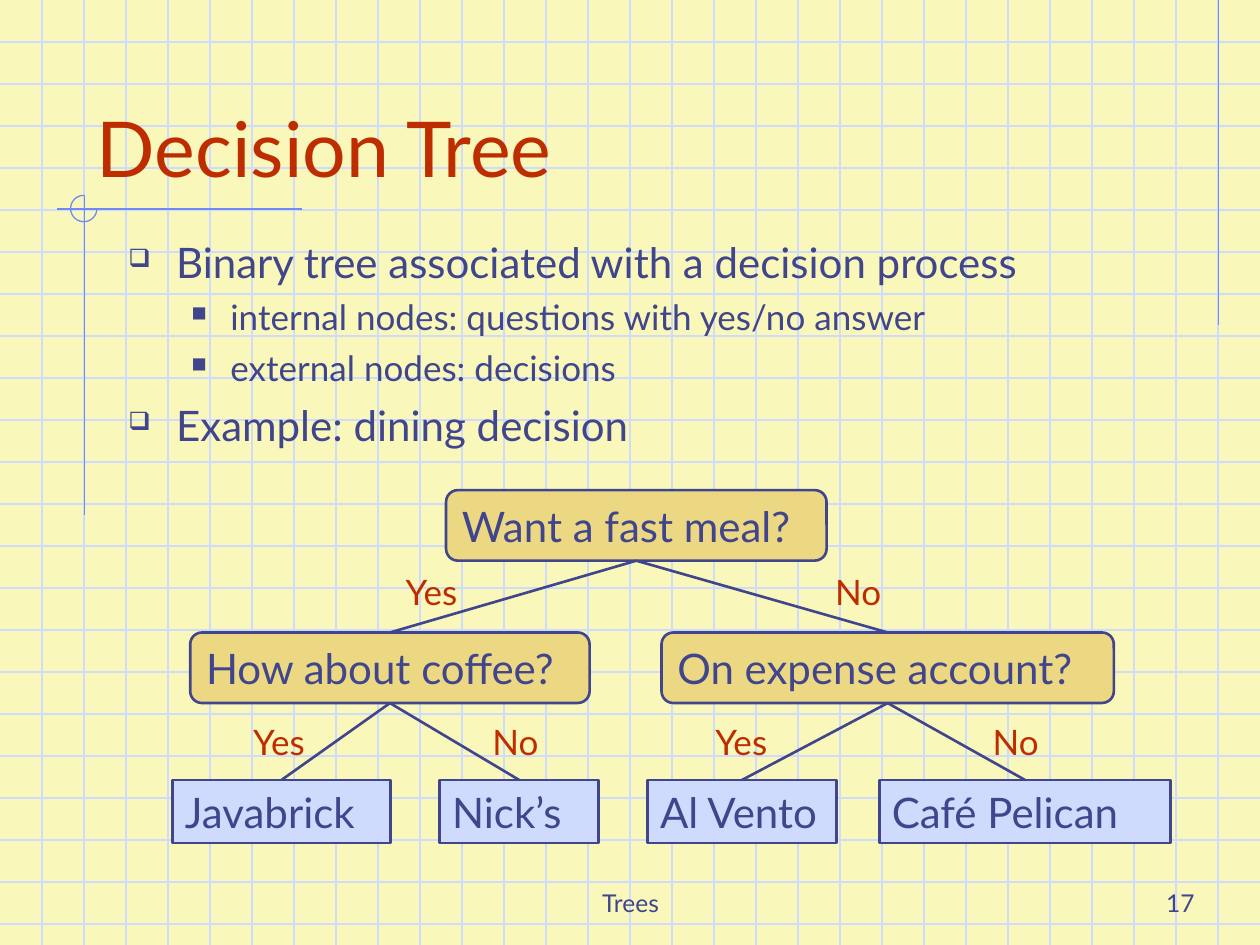
from lxml.etree import SubElement
from pptx import Presentation
from pptx.dml.color import RGBColor
from pptx.enum.shapes import MSO_CONNECTOR as Connector, MSO_SHAPE as Shape
from pptx.enum.text import MSO_ANCHOR as Anchor, PP_ALIGN as Align
from pptx.oxml.ns import qn
from pptx.util import Inches, Pt


class Theme:
    font = "Lato"
    paper, grid, margin = "F9F8BA", "CFDBFD", "6F89F7"
    ink, accent = "40458C", "BE2D00"
    question, decision = "ECD882", "CFDBFD"
    title_size, text_size, detail_size, footer_size = 44, 24, 20, 14
    thin, thick = 0.75, 1.5


# Content
TITLE = "Decision Tree"
FOOTER, PAGE = "Trees", "17"
BULLETS = [
    (0, "Binary tree associated with a decision process"),
    (1, "internal nodes: questions with yes/no answer"),
    (1, "external nodes: decisions"),
    (0, "Example: dining decision"),
]
# Tree rows: (top, height, [(text, left, width), ...])
TREE = [
    (3.89, 0.56, [("Want a fast meal?", 3.54, 3.02)]),
    (5.02, 0.56, [("How about coffee?", 1.51, 3.17),
                  ("On expense account?", 5.25, 3.59)]),
    (6.19, 0.50, [("Javabrick", 1.37, 1.73), ("Nick’s", 3.49, 1.26),
                  ("Al Vento", 5.14, 1.50), ("Café Pelican", 6.98, 2.31)]),
]
# Answers on the branches below each question row: (top, lefts)
BRANCHES = [(4.48, [3.12, 6.53]), (5.67, [1.91, 3.81, 5.58, 7.78])]
ANSWERS = [("Yes", 0.65), ("No", 0.58)]

# Bullet level: (character, text indent, hanging, space before, size)
LEVELS = [("❑", 0.38, 0.38, 6, Theme.text_size),
          ("■", 0.81, 0.31, 5, Theme.detail_size)]
WIDTH, HEIGHT, GRID_STEP = 10, 7.5, 1 / 3
MARGIN_LINES = [((9.67, 0), (9.67, 2.58)), ((2.4, 1.66), (0.45, 1.66)),
                ((0.67, 1.55), (0.67, 4.09))]

presentation = Presentation()
presentation.slide_width, presentation.slide_height = Inches(WIDTH), Inches(HEIGHT)
slide = presentation.slides.add_slide(presentation.slide_layouts[6])
slide.background.fill.solid()
slide.background.fill.fore_color.rgb = RGBColor.from_string(Theme.paper)


def write(paragraph, text, size=Theme.text_size, color=Theme.ink, align=Align.LEFT):
    paragraph.alignment = align
    run = paragraph.add_run()
    run.text = text
    run.font.name, run.font.size = Theme.font, Pt(size)
    run.font.color.rgb = RGBColor.from_string(color)


def add_box(left, top, width, height, anchor=Anchor.TOP, wrap=True):
    box = slide.shapes.add_textbox(*map(Inches, (left, top, width, height)))
    box.text_frame.word_wrap = wrap
    box.text_frame.vertical_anchor = anchor
    return box.text_frame


def add_line(start=(0, 0), end=(0, 0), color=Theme.ink, weight=Theme.thick):
    line = slide.shapes.add_connector(Connector.STRAIGHT, *map(Inches, (*start, *end)))
    line.line.color.rgb = RGBColor.from_string(color)
    line.line.width = Pt(weight)
    SubElement(line._element.spPr, qn("a:effectLst"))
    return line


def add_shape(kind, left, top, width, height, color, weight, fill=None):
    shape = slide.shapes.add_shape(kind, *map(Inches, (left, top, width, height)))
    shape.shadow.inherit = False
    if fill:
        shape.fill.solid()
        shape.fill.fore_color.rgb = RGBColor.from_string(fill)
    else:
        shape.fill.background()
    shape.line.color.rgb = RGBColor.from_string(color)
    shape.line.width = Pt(weight)
    return shape


def add_bullet(paragraph, character, indent, hanging):
    properties = paragraph._p.get_or_add_pPr()
    properties.set("marL", str(Inches(indent)))
    properties.set("indent", str(-Inches(hanging)))
    color = SubElement(properties, qn("a:buClr"))
    SubElement(color, qn("a:srgbClr"), val=Theme.ink)
    SubElement(properties, qn("a:buSzPct"), val="60000")
    SubElement(properties, qn("a:buChar"), char=character)


# Graph paper
for step in range(1, 23):
    y = step * GRID_STEP
    add_line((0, y), (WIDTH, y), Theme.grid, Theme.thin)
for step in range(1, 30):
    x = step * GRID_STEP
    add_line((x, 0), (x, HEIGHT), Theme.grid, Theme.thin)

# Margin lines and the three-quarter circle at their crossing
for start, end in MARGIN_LINES:
    add_line(start, end, Theme.margin, Theme.thin)
arc = add_shape(Shape.ARC, 0.56, 1.55, 0.21, 0.21, Theme.margin, Theme.thin)
arc.adjustments[0], arc.adjustments[1] = 0, 162

# Footer and title
write(add_box(3.42, 6.83, 3.17, 0.5, Anchor.BOTTOM).paragraphs[0], FOOTER,
      size=Theme.footer_size, align=Align.CENTER)
write(add_box(7.5, 6.83, 2.08, 0.5, Anchor.BOTTOM).paragraphs[0], PAGE,
      size=Theme.footer_size, align=Align.RIGHT)
write(add_box(0.67, 0.33, 8.5, 1.25, Anchor.BOTTOM).paragraphs[0], TITLE,
      size=Theme.title_size, color=Theme.accent)

# Bullets
body = add_box(0.92, 1.83, 8.5, 2)
for index, (level, text) in enumerate(BULLETS):
    character, indent, hanging, space, size = LEVELS[level]
    paragraph = body.add_paragraph() if index else body.paragraphs[0]
    paragraph.level = level
    add_bullet(paragraph, character, indent, hanging)
    if index:
        paragraph.space_before = Pt(space)
    write(paragraph, text, size=size)

# Tree nodes: rounded questions, square decisions in the last row
rows = []
for top, height, nodes in TREE:
    is_decision = len(rows) == len(TREE) - 1
    kind = Shape.RECTANGLE if is_decision else Shape.ROUNDED_RECTANGLE
    fill = Theme.decision if is_decision else Theme.question
    row = []
    for text, left, width in nodes:
        node = add_shape(kind, left, top, width, height, Theme.ink, Theme.thick, fill)
        node.text_frame.word_wrap = True
        node.text_frame.vertical_anchor = Anchor.MIDDLE
        write(node.text_frame.paragraphs[0], text)
        row.append(node)
    rows.append(row)

# Branches: each question leads to two nodes in the next row
for parents, children in zip(rows, rows[1:]):
    for index, child in enumerate(children):
        branch = add_line()
        branch.begin_connect(parents[index // 2], 2)
        branch.end_connect(child, 0)

# Answers
for top, lefts in BRANCHES:
    for index, left in enumerate(lefts):
        text, width = ANSWERS[index % 2]
        frame = add_box(left, top, width, 0.44, wrap=False)
        write(frame.paragraphs[0], text, size=Theme.detail_size, color=Theme.accent)

presentation.save("out.pptx")
